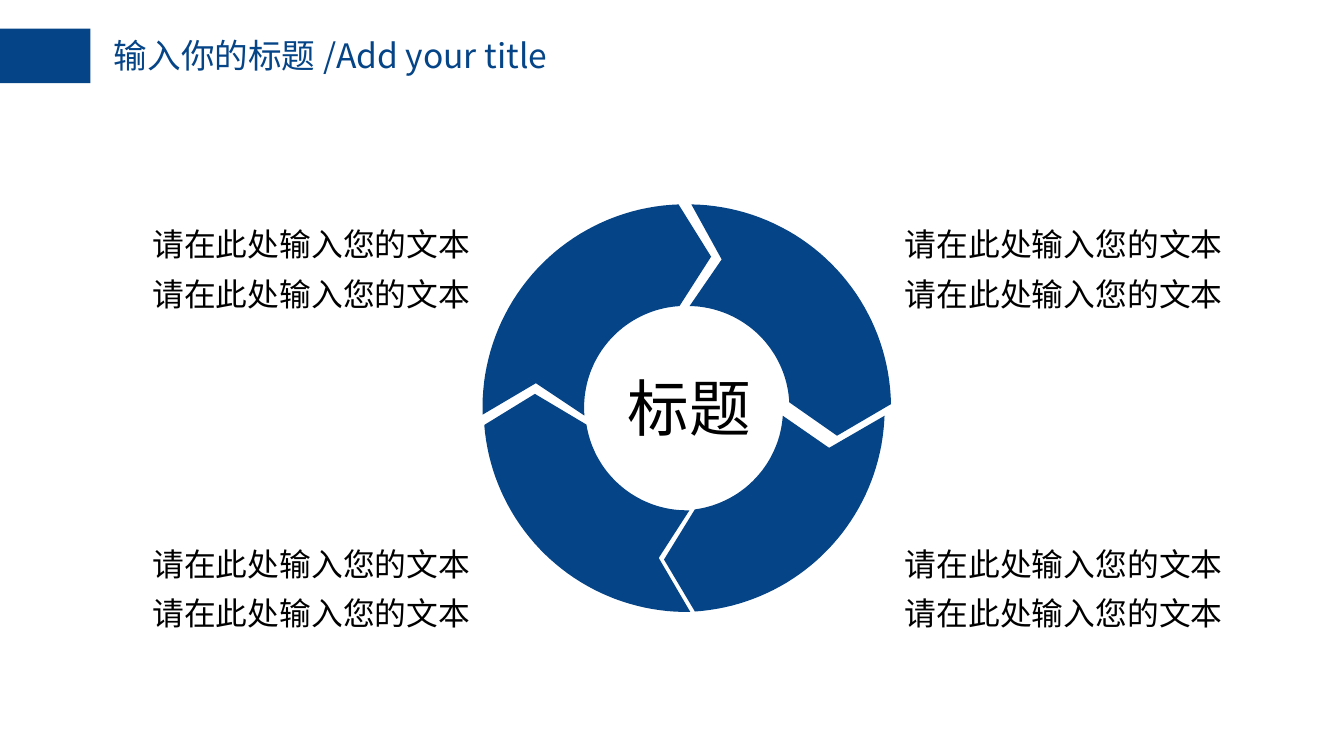
from math import cos, radians, sin

from lxml import etree
from pptx import Presentation
from pptx.dml.color import RGBColor
from pptx.enum.shapes import MSO_SHAPE
from pptx.enum.text import MSO_ANCHOR, MSO_AUTO_SIZE, PP_ALIGN
from pptx.oxml.ns import qn
from pptx.util import Cm, Pt

RECT = MSO_SHAPE.RECTANGLE
TOP, MIDDLE = MSO_ANCHOR.TOP, MSO_ANCHOR.MIDDLE
LEFT, CENTER = PP_ALIGN.LEFT, PP_ALIGN.CENTER
FIXED = MSO_AUTO_SIZE.NONE

COLORS = {"blue": "054487", "black": "000000"}
OUTER, INNER, STEPS = 3.84, 1.92, 40
SECTORS = [
    ((13.0, 7.7), (-89, -1), (-89, -3), (13.64, 4.9), (15.82, 8.23)),
    ((12.96, 7.7), (178, 268), (175.5, 266.5), (10.13, 7.24), (13.44, 4.85)),
    ((12.98, 7.72), (89, 175.4), (88.5, 171), (12.45, 10.54), (10.11, 7.44)),
    ((12.88, 7.72), (2, 86.2), (4, 82.4), (15.67, 8.46), (12.55, 10.57)),
]


def arc(center, radius, start, end):
    angles = [radians(start + (end - start) * i / STEPS) for i in range(STEPS + 1)]
    return [(center[0] + radius * cos(a), center[1] + radius * sin(a)) for a in angles]


class Deck:
    font = "Noto Sans CJK SC"

    def __init__(self, width, height):
        self.prs = Presentation()
        self.prs.slide_width, self.prs.slide_height = Cm(width), Cm(height)
        self.slide = self.prs.slides.add_slide(self.prs.slide_layouts[5])

    def color(self, name):
        return RGBColor.from_string(COLORS[name])

    def paint(self, shape):
        shape.shadow.inherit = False
        shape.fill.solid()
        shape.fill.fore_color.rgb = self.color("blue")
        shape.line.fill.background()

    def bar(self, *box):
        self.paint(self.slide.shapes.add_shape(RECT, *map(Cm, box)))

    def label(self, shape, lines, size, color, align, anchor, space=1.0):
        frame = shape.text_frame
        frame.word_wrap = True
        frame.auto_size = FIXED
        frame.vertical_anchor = anchor
        for i, line in enumerate(lines):
            para = frame.add_paragraph() if i else frame.paragraphs[0]
            para.alignment = align
            para.line_spacing = space
            run = para.add_run()
            run.text = line
            run.font.size = Pt(size)
            run.font.name = self.font
            run.font.color.rgb = self.color(color)
            east = etree.SubElement(run.font._element, qn("a:ea"))
            east.set("typeface", self.font)

    def title(self, text, left, top, width, height):
        shape = self.slide.shapes.title
        shape.left, shape.top = Cm(left), Cm(top)
        shape.width, shape.height = Cm(width), Cm(height)
        self.label(shape, [text], 18, "blue", LEFT, TOP)

    def text(self, lines, box, size, anchor, space=1.0):
        shape = self.slide.shapes.add_textbox(*map(Cm, box))
        self.label(shape, lines, size, "black", CENTER, anchor, space)

    def ring(self, sectors):
        group = self.slide.shapes.add_group_shape()
        for center, outer, inner, tail, head in sectors:
            points = arc(center, OUTER, *outer) + [head]
            points += arc(center, INNER, *reversed(inner)) + [tail]
            points = [(Cm(x), Cm(y)) for x, y in points]
            pen = group.shapes.build_freeform(*points[0])
            pen.add_line_segments(points[1:], close=True)
            self.paint(pen.convert_to_shape())

    def save(self):
        self.prs.save("out.pptx")


def main():
    deck = Deck(25.4, 14.28)
    deck.bar(0, 0.54, 1.71, 1.03)
    deck.title("输入你的标题 /Add your title", 1.9, 0.54, 10.6, 1.8)
    deck.ring(SECTORS)
    deck.text(["标题"], (11.2, 6.86, 3.66, 1.63), 33, TOP)
    for top in (3.76, 9.8):
        for left in (2.06, 16.28):
            deck.text(["请在此处输入您的文本"] * 2, (left, top, 7.65, 2.41), 17, MIDDLE, 1.3)
    deck.save()


if __name__ == "__main__":
    main()
